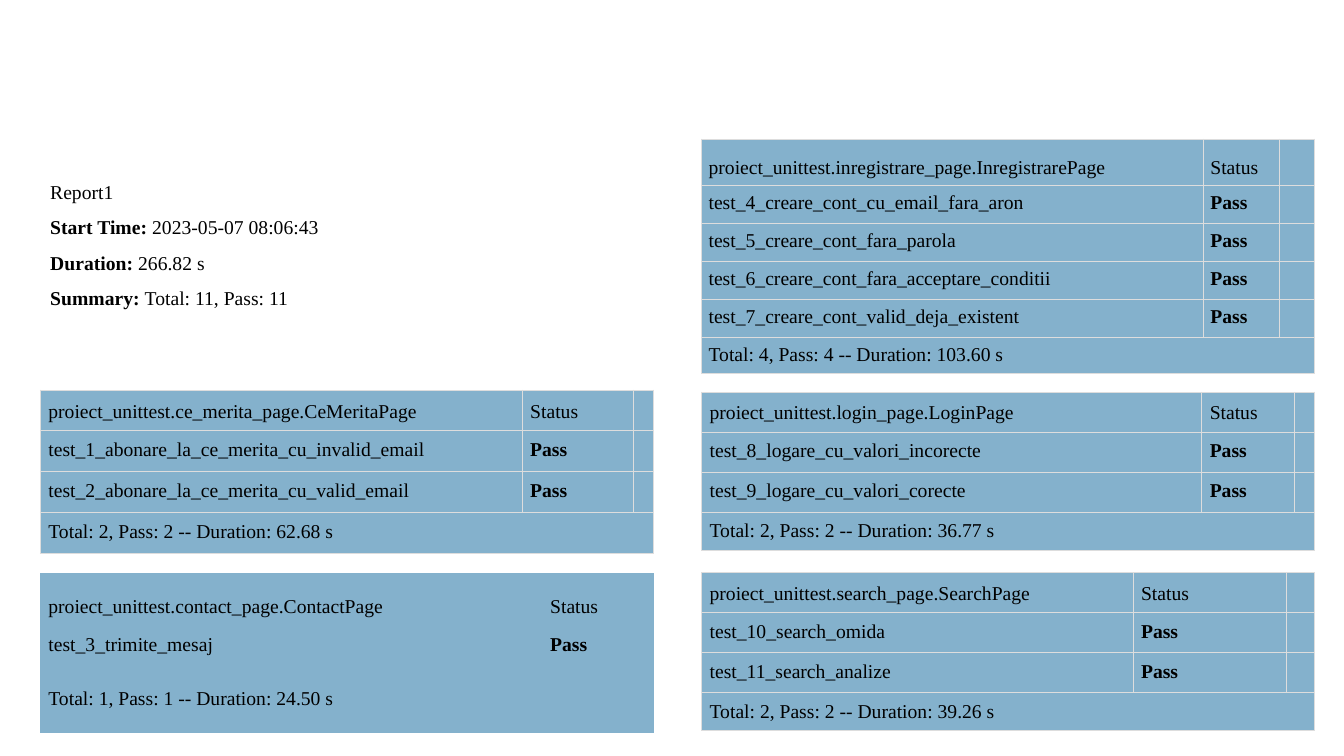
from lxml.etree import SubElement, Element
from pptx import Presentation
from pptx.dml.color import RGBColor
from pptx.enum.shapes import MSO_SHAPE
from pptx.enum.text import MSO_ANCHOR, PP_ALIGN
from pptx.oxml.ns import qn
from pptx.util import Inches, Pt

COLORS = {"panel": "84B1CC", "border": "DDDDDD", "text": "000000", "paper": "FFFFFF"}
LEFT, RIGHT, PANEL_WIDTH = 3, 52.2, 45.6


def add_text(paragraph, text, font="Times New Roman", size=14, bold=False, color="text"):
    run = paragraph.add_run()
    run.text = text
    run.font.name = font
    run.font.size = Pt(size)
    run.font.bold = bold
    run.font.color.rgb = RGBColor.from_string(COLORS[color])


def set_borders(cell, color):
    """Draw all four cell sides in a colour, or hide them if it is None."""
    properties = cell._tc.get_or_add_tcPr()
    for index, side in enumerate("LRTB"):
        line = Element(qn(f"a:ln{side}"), w=str(Pt(0.75)))
        if color:
            fill = SubElement(line, qn("a:solidFill"))
            SubElement(fill, qn("a:srgbClr"), val=COLORS[color])
        else:
            SubElement(line, qn("a:noFill"))
        properties.insert(index, line)


class ReportSlide:
    """One slide whose lengths are percentages of its width and height."""

    def __init__(self, presentation):
        self.width = presentation.slide_width
        self.height = presentation.slide_height
        self.shapes = presentation.slides.add_slide(presentation.slide_layouts[6]).shapes

    def x(self, share):
        return round(self.width * share / 100)

    def y(self, share):
        return round(self.height * share / 100)

    def summary(self, left, top, width, height, entries):
        box = self.shapes.add_shape(MSO_SHAPE.RECTANGLE, self.x(left), self.y(top),
                                    self.x(width), self.y(height))
        box.shadow.inherit = False
        box.fill.solid()
        box.fill.fore_color.rgb = RGBColor.from_string(COLORS["paper"])
        box.line.fill.background()
        frame = box.text_frame
        frame.word_wrap = True
        frame.vertical_anchor = MSO_ANCHOR.TOP
        frame.margin_left = frame.margin_right = Inches(0.1)
        frame.margin_top, frame.margin_bottom = Inches(0.17), Inches(0.08)
        for index, (label, value) in enumerate(entries):
            paragraph = frame.paragraphs[0] if index == 0 else frame.add_paragraph()
            paragraph.alignment = PP_ALIGN.LEFT
            paragraph.line_spacing = 1.5
            if label:
                add_text(paragraph, label, bold=True)
            add_text(paragraph, value)

    def results(self, left, top, columns, row_heights, suite, tests, total,
                border="border", margin=0.08):
        """Add the result table of one test suite."""
        rows = [(suite, "Status", ""), *((test, "Pass", "") for test in tests),
                (total, "", "")]
        table = self.shapes.add_table(
            len(rows), len(columns), self.x(left), self.y(top),
            self.x(PANEL_WIDTH), self.y(sum(row_heights))).table
        table.first_row = table.horz_banding = False
        for column, share in zip(table.columns, columns):
            column.width = self.x(PANEL_WIDTH * share / sum(columns))
        for row, height, texts in zip(table.rows, row_heights, rows):
            row.height = self.y(height)
            for cell, text in zip(row.cells, texts):
                self.result_cell(cell, text, border, margin)
        for cell in table.rows[0].cells:
            cell.vertical_anchor = MSO_ANCHOR.BOTTOM
        last = len(rows) - 1
        table.cell(last, 0).merge(table.cell(last, len(columns) - 1))

    def result_cell(self, cell, text, border, margin):
        cell.fill.solid()
        cell.fill.fore_color.rgb = RGBColor.from_string(COLORS["panel"])
        set_borders(cell, border)
        cell.margin_left = cell.margin_right = Inches(margin)
        cell.margin_top = cell.margin_bottom = Inches(margin)
        paragraph = cell.text_frame.paragraphs[0]
        if text:
            add_text(paragraph, text, bold=text == "Pass")
        else:
            SubElement(paragraph._p, qn("a:endParaRPr"), sz="1400")


def main():
    presentation = Presentation()
    presentation.slide_width, presentation.slide_height = Inches(13.33), Inches(7.5)
    report = ReportSlide(presentation)

    report.results(LEFT, 51.6, (4.78, 1.1, 0.2), [5.4] * 4,
                   "proiect_unittest.ce_merita_page.CeMeritaPage",
                   ["test_1_abonare_la_ce_merita_cu_invalid_email",
                    "test_2_abonare_la_ce_merita_cu_valid_email"],
                   "Total: 2, Pass: 2 -- Duration: 62.68 s")
    report.results(LEFT, 75.73, (4.97, 0.91, 0.19), [7.1] * 3,
                   "proiect_unittest.contact_page.ContactPage",
                   ["test_3_trimite_mesaj"],
                   "Total: 1, Pass: 1 -- Duration: 24.50 s", border=None)
    report.results(RIGHT, 18.4, (4.97, 0.75, 0.35), [6.13] + [4.85] * 5,
                   "proiect_unittest.inregistrare_page.InregistrarePage",
                   ["test_4_creare_cont_cu_email_fara_aron",
                    "test_5_creare_cont_fara_parola",
                    "test_6_creare_cont_fara_acceptare_conditii",
                    "test_7_creare_cont_valid_deja_existent"],
                   "Total: 4, Pass: 4 -- Duration: 103.60 s", margin=0.07)
    report.results(RIGHT, 51.87, (4.97, 0.92, 0.2), [5.07] * 4,
                   "proiect_unittest.login_page.LoginPage",
                   ["test_8_logare_cu_valori_incorecte",
                    "test_9_logare_cu_valori_corecte"],
                   "Total: 2, Pass: 2 -- Duration: 36.77 s")
    report.results(RIGHT, 75.73, (4.28, 1.52, 0.28), [5.07] * 4,
                   "proiect_unittest.search_page.SearchPage",
                   ["test_10_search_omida", "test_11_search_analize"],
                   "Total: 2, Pass: 2 -- Duration: 39.26 s")
    report.summary(LEFT, 20, 45.76, 26.4, [
        ("", "Report1"),
        ("Start Time: ", "2023-05-07 08:06:43"),
        ("Duration: ", "266.82 s"),
        ("Summary: ", "Total: 11, Pass: 11"),
    ])
    presentation.save("out.pptx")


if __name__ == "__main__":
    main()
